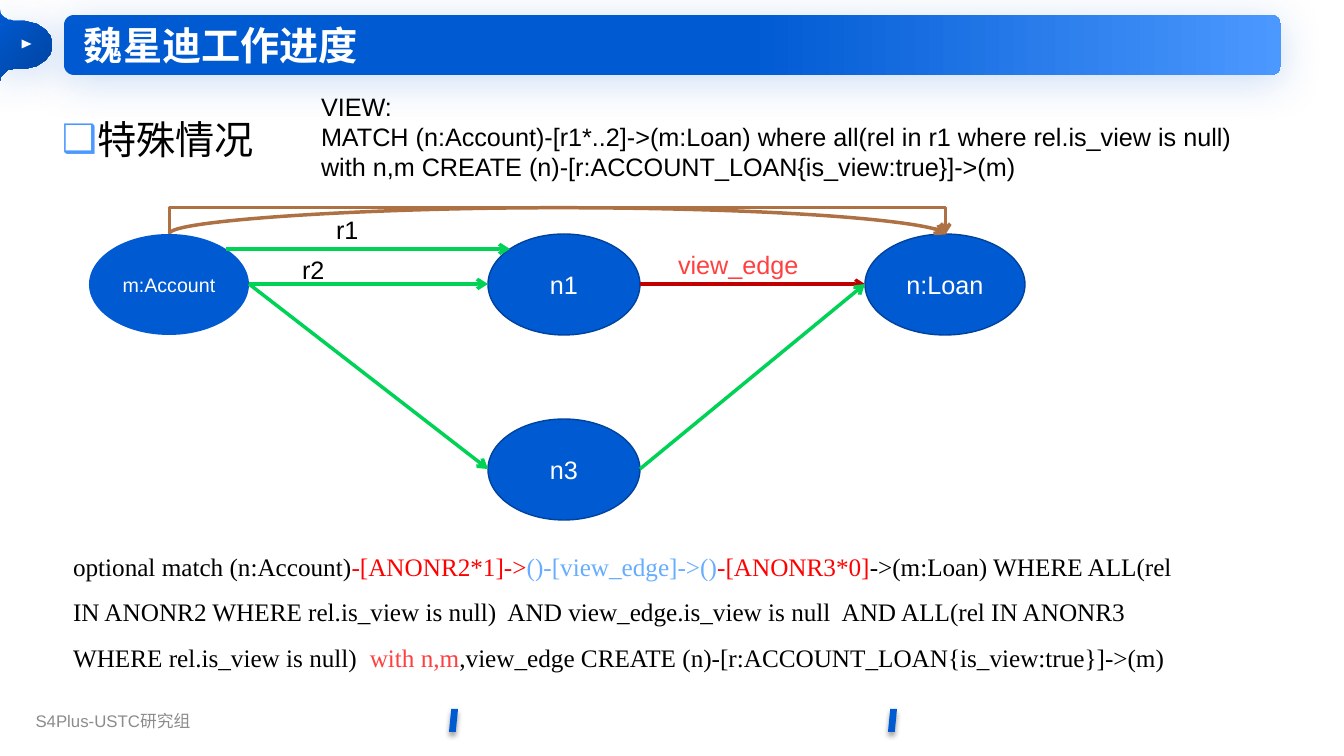
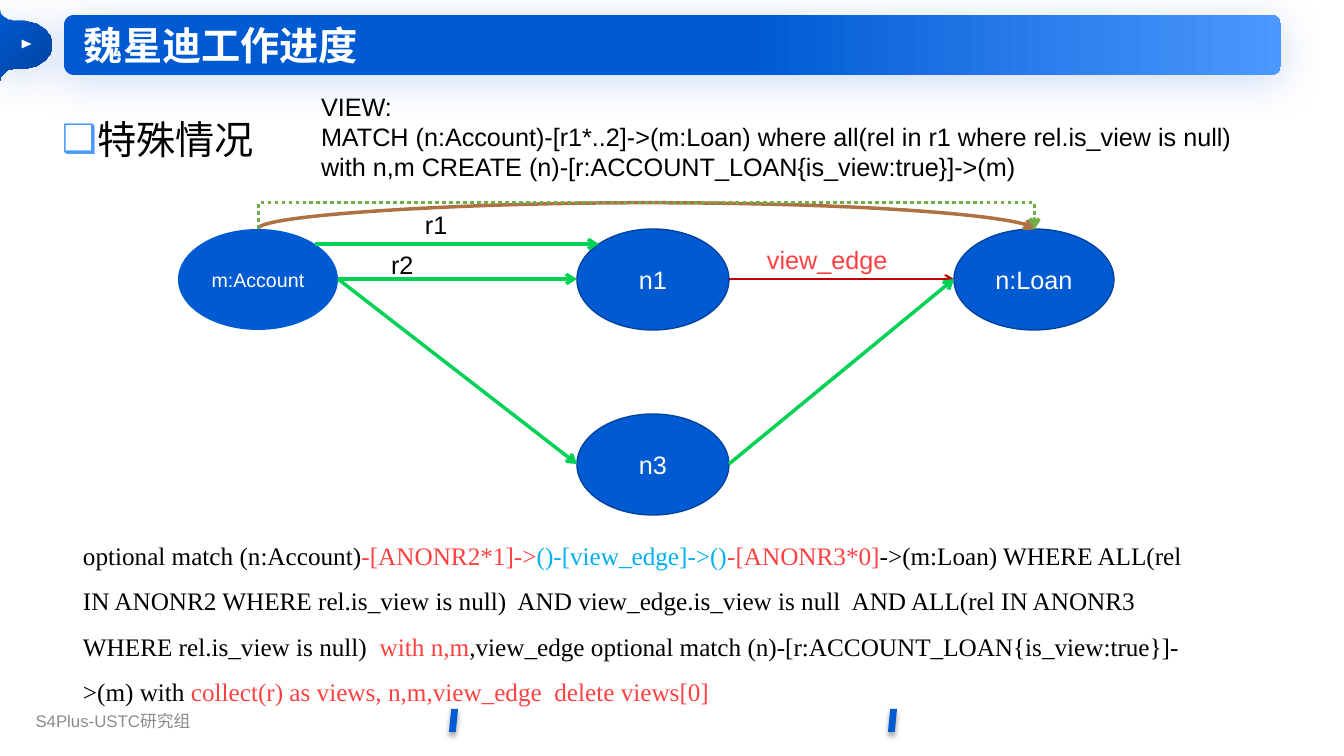
from lxml.etree import SubElement
from pptx import Presentation
from pptx.dml.color import RGBColor
from pptx.enum.dml import MSO_LINE
from pptx.enum.shapes import MSO_CONNECTOR as LINK, MSO_SHAPE as SHAPE
from pptx.enum.text import MSO_ANCHOR as ANCHOR, PP_ALIGN as ALIGN
from pptx.oxml.ns import qn
from pptx.util import Pt

PX = 12192000 / 1344
BLUE, NAVY, SKY = "005AD2", "00439E", "4B98FF"
GREEN, BROWN, LEAF, CRIMSON = "00D255", "AE7144", "70AD47", "C00000"
WHITE, BLACK, GREY, CORAL = "FFFFFF", "000000", "8C8C8C", "FF4040"


def rgb(code):
    return RGBColor.from_string(code)


def write(shape, text, size=18, color=BLACK, font="Arial", bold=False, align=ALIGN.LEFT,
          anchor=ANCHOR.TOP, spacing=None, margins=(10, 5, 10, 5), bullet=None):
    frame = shape.text_frame
    frame.word_wrap = True
    frame.vertical_anchor = anchor
    frame.margin_left, frame.margin_top, frame.margin_right, frame.margin_bottom = [
        int(m * PX) for m in margins]
    lines = [[(line, color)] for line in text.split("\n")] if isinstance(text, str) else [text]
    for number, line in enumerate(lines):
        paragraph = frame.add_paragraph() if number else frame.paragraphs[0]
        paragraph.alignment = align
        if bullet:
            props = paragraph._p.get_or_add_pPr()
            props.set("marL", str(int(25 * PX)))
            props.set("indent", str(int(-25 * PX)))
            SubElement(SubElement(props, qn("a:buClr")), qn("a:srgbClr"), val=SKY)
            SubElement(props, qn("a:buFont"), typeface="Arial")
            SubElement(props, qn("a:buChar"), char=bullet)
        if spacing:
            paragraph.line_spacing = spacing
        for words, tint in line:
            run = paragraph.add_run()
            run.text = words
            run.font.size = Pt(size)
            run.font.name = font
            run.font.bold = bold
            run.font.color.rgb = rgb(tint)


VIEW = ("VIEW:\nMATCH (n:Account)-[r1*..2]->(m:Loan) where all(rel in r1 where rel.is_view is null) "
        "with n,m CREATE (n)-[r:ACCOUNT_LOAN{is_view:true}]->(m)")
WHERE = ("->(m:Loan) WHERE ALL(rel IN ANONR2 WHERE rel.is_view is null)  AND view_edge.is_view is null"
         "  AND ALL(rel IN ANONR3 WHERE rel.is_view is null)  ")
CREATE_END = [(",view_edge CREATE (n)-[r:ACCOUNT_LOAN{is_view:true}]->(m)", BLACK)]
DELETE_END = [(",view_edge optional match (n)-[r:ACCOUNT_LOAN{is_view:true}]->(m) with ", BLACK),
              ("collect(r) as views, n,m,view_edge  delete views[0]", CORAL)]

CASES = [
    dict(graph=(89, 234), query=(63, 531), anon="FF0000", hop="66ADFF", end=CREATE_END,
         view_width=2.25, bent=BROWN, dash=None),
    dict(graph=(178, 229), query=(73, 520), anon=CORAL, hop="00B0F0", end=DELETE_END,
         view_width=1.5, bent=LEAF, dash=MSO_LINE.ROUND_DOT),
]
NODES = [
    ("m:Account", 0, 0, 160, 14, None),
    ("n1", 399, 0, 152, 18, NAVY),
    ("n:Loan", 776, 0, 160, 18, NAVY),
    ("n3", 399, 185, 152, 18, NAVY),
]
LABELS = [("view_edge", 579, 10, CORAL), ("r1", 237, -25, BLACK), ("r2", 203, 15, BLACK)]
TAB_CURVES = [
    [(1, 14), (4, 18), (9, 21), (16, 21)],
    [(21, 21), (38, 21), (52, 31), (52, 45)],
    [(52, 45), (52, 59), (38, 69), (21, 69)],
    [(16, 69), (9, 69), (4, 72), (1, 77)],
]
tab_outline = []
for curve in TAB_CURVES:
    for step in range(13):
        t = step / 12
        weights = ((1 - t) ** 3, 3 * t * (1 - t) ** 2, 3 * t * t * (1 - t), t ** 3)
        tab_outline.append(tuple(sum(w * p[axis] for w, p in zip(weights, curve)) for axis in (0, 1)))
tab_outline.append((0, 81))

deck = Presentation()
deck.slide_width, deck.slide_height = int(1344 * PX), int(756 * PX)

for case in CASES:
    shapes = deck.slides.add_slide(deck.slide_layouts[6]).shapes

    banner = shapes.add_shape(SHAPE.ROUNDED_RECTANGLE, *[int(v * PX) for v in (64, 15, 1217, 60)])
    outline = shapes.build_freeform(0, 9, scale=PX)
    outline.add_line_segments(tab_outline, close=True)
    tab = outline.convert_to_shape()
    for part, angle, stops in ((banner, 0, ((0.56, BLUE), (1, SKY))),
                               (tab, 315, ((0, BLUE), (1, NAVY)))):
        part.fill.gradient()
        part.fill.gradient_angle = angle
        for stop, (position, color) in zip(part.fill.gradient_stops, stops):
            stop.position = position
            stop.color.rgb = rgb(color)
    glows = [(banner, BLUE, 20, 30, 5), (tab, BLUE, 20, 30, 5)]

    for kind, box, color, glow in (
            (SHAPE.ISOSCELES_TRIANGLE, (22, 39, 9, 10), WHITE, (BLUE, 20, 30, 5)),
            (SHAPE.PARALLELOGRAM, (888, 709, 9, 23), BLUE, (BLACK, 40, 4, 3)),
            (SHAPE.PARALLELOGRAM, (449, 709, 9, 23), BLUE, (BLACK, 40, 4, 3))):
        mark = shapes.add_shape(kind, *[int(v * PX) for v in box])
        mark.rotation = 90 if kind == SHAPE.ISOSCELES_TRIANGLE else 0
        mark.fill.solid()
        mark.fill.fore_color.rgb = rgb(color)
        glows.append((mark, *glow))
    for part, color, alpha, blur, distance in glows:
        part.line.fill.background()
        part.shadow.inherit = False
        shadow = SubElement(part._element.spPr.find(qn("a:effectLst")), qn("a:outerShdw"),
                            blurRad=str(Pt(blur)), dist=str(Pt(distance)), dir="5400000",
                            algn="t", rotWithShape="0")
        tone = SubElement(shadow, qn("a:srgbClr"), val=color)
        SubElement(tone, qn("a:alpha"), val=str(alpha * 1000))

    x, y = case["graph"]
    query = [("optional match (n:Account)", BLACK), ("-[ANONR2*1]->", case["anon"]),
             ("()-[view_edge]->()", case["hop"]), ("-[ANONR3*0]", case["anon"]),
             (WHERE, BLACK), ("with n,m", CORAL)] + case["end"]
    texts = [
        ((21, 701, 184, 40), "S4Plus-USTC研究组",
         dict(size=12, color=GREY, align=ALIGN.CENTER, anchor=ANCHOR.MIDDLE)),
        ((64, 21, 1217, 48), "魏星迪工作进度",
         dict(size=28, color=WHITE, bold=True, anchor=ANCHOR.MIDDLE, margins=(20, 0, 0, 0))),
        ((52, 101, 250, 80), "特殊情况", dict(size=28, spacing=1.2, bullet="❑")),
        ((311, 86, 969, 117), VIEW, {}),
        ((*case["query"], 1127, 136), query, dict(font="Times New Roman", spacing=1.5)),
    ]
    for name, dx, dy, color in LABELS:
        texts.append(((x + dx, y + dy, 448, 40), name, dict(color=color)))
    for box, text, style in texts:
        write(shapes.add_textbox(*[int(v * PX) for v in box]), text, **style)

    for name, dx, dy, width, size, edge in NODES:
        node = shapes.add_shape(SHAPE.OVAL, *[int(v * PX) for v in (x + dx, y + dy, width, 101)])
        node.shadow.inherit = False
        node.fill.solid()
        node.fill.fore_color.rgb = rgb(BLUE)
        if edge:
            node.line.color.rgb = rgb(edge)
            node.line.width = Pt(1)
        else:
            node.line.fill.background()
        write(node, name, size=size, color=WHITE, align=ALIGN.CENTER, anchor=ANCHOR.MIDDLE)

    for kind, ends, color, width, dash in (
            (LINK.STRAIGHT, (160, 50, 399, 50), GREEN, 2.5, None),
            (LINK.STRAIGHT, (551, 50, 776, 50), CRIMSON, case["view_width"], None),
            (LINK.STRAIGHT, (551, 235, 776, 50), GREEN, 2.5, None),
            (LINK.STRAIGHT, (160, 50, 399, 235), GREEN, 2.5, None),
            (LINK.STRAIGHT, (137, 15, 421, 15), GREEN, 2.5, None),
            (LINK.CURVE, (468, -388, 469, 388), BROWN, 2.5, None),
            (LINK.ELBOW, (468, -388, 469, 388), case["bent"], 2.5, case["dash"])):
        edge = shapes.add_connector(kind, *[int((v + o) * PX) for v, o in zip(ends, (x, y, x, y))])
        edge.line.color.rgb = rgb(color)
        edge.line.width = Pt(width)
        if dash:
            edge.line.dash_style = dash
        props = edge._element.spPr
        SubElement(props.find(qn("a:ln")), qn("a:tailEnd"), type="arrow")
        SubElement(props, qn("a:effectLst"))
        if kind != LINK.STRAIGHT:
            frame = props.find(qn("a:xfrm"))
            frame.set("rot", "16200000")
            frame.set("flipH", "1")
            guides = props.find(qn("a:prstGeom")).find(qn("a:avLst"))
            SubElement(guides, qn("a:gd"), name="adj1", fmla="val -2600000")

deck.save("out.pptx")
